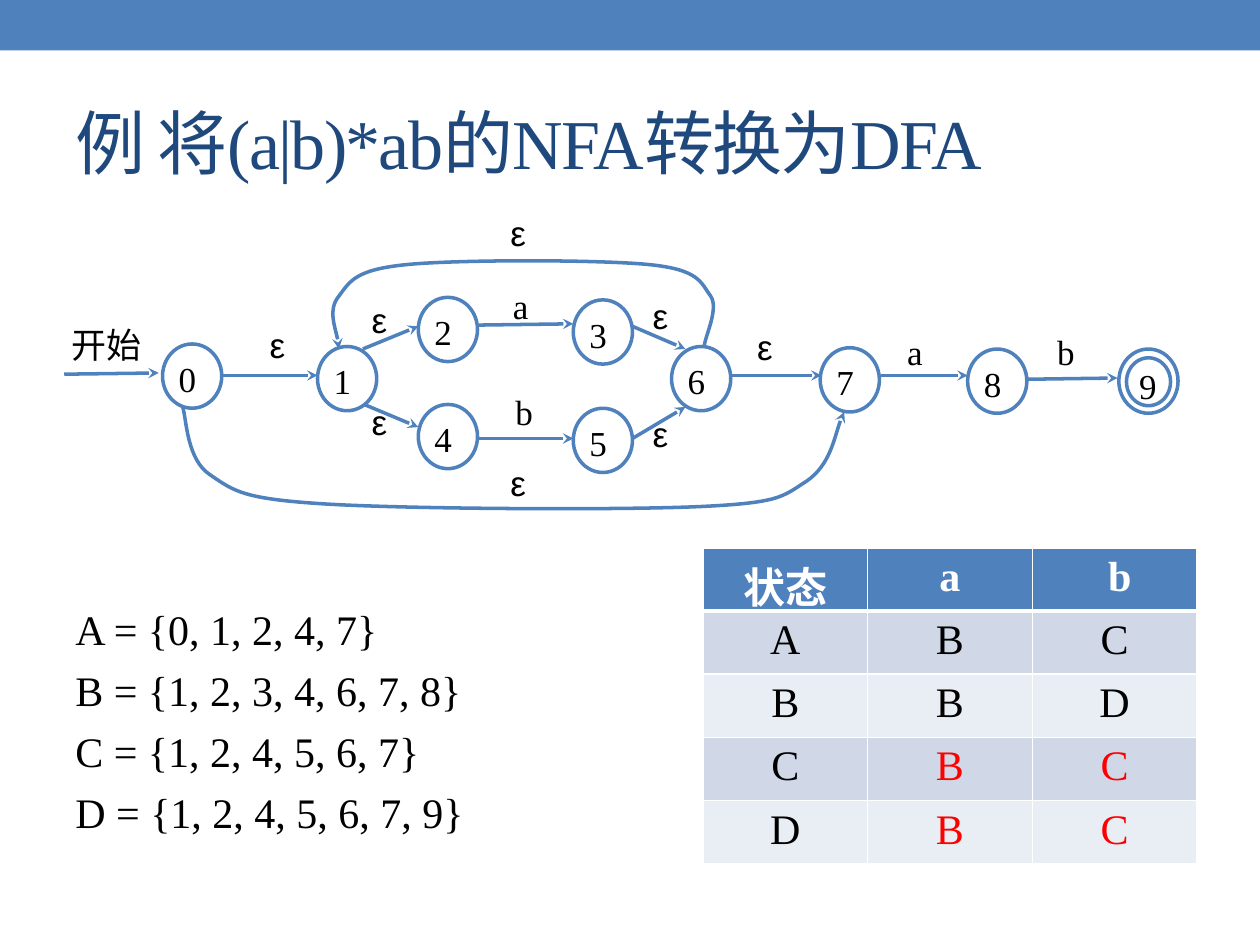
from dataclasses import dataclass

from lxml import etree
from pptx import Presentation
from pptx.dml.color import RGBColor
from pptx.enum.shapes import MSO_CONNECTOR, MSO_SHAPE
from pptx.enum.text import MSO_ANCHOR, PP_ALIGN
from pptx.oxml.ns import qn
from pptx.util import Inches, Pt

STRAIGHT = MSO_CONNECTOR.STRAIGHT
RECTANGLE, OVAL = MSO_SHAPE.RECTANGLE, MSO_SHAPE.OVAL
LEFT, CENTER = PP_ALIGN.LEFT, PP_ALIGN.CENTER
TOP, MIDDLE = MSO_ANCHOR.TOP, MSO_ANCHOR.MIDDLE
TITLE_ONLY = 5


@dataclass(frozen=True)
class Theme:
    accent: str = "4F81BD"
    title: str = "1F497D"
    ink: str = "000000"
    white: str = "FFFFFF"
    highlight: str = "FF0000"
    bands: tuple = ("D0D8E8", "E9EDF4")
    serif: str = "Times New Roman"
    sans: str = "Arial"
    title_size: int = 40
    body_size: int = 24
    label_size: int = 20
    line_width: int = 2


THEME = Theme()

STATE_WIDTH, STATE_HEIGHT = 0.47, 0.51
STATES = [
    (0.79, 1.08), (2.02, 1.10), (2.82, 0.71), (4.05, 0.73), (2.82, 1.56),
    (4.05, 1.59), (4.83, 1.10), (6.01, 1.11), (7.18, 1.12),
]
FINAL_STATE = (8.38, 1.12)
EDGES = [
    (0.01, 1.32, 0.76, 1.31), (1.26, 1.33, 2.02, 1.33), (2.38, 1.12, 2.82, 0.94),
    (2.39, 1.56, 2.82, 1.74), (3.30, 0.93, 4.05, 0.92), (3.29, 1.83, 4.05, 1.83),
    (4.52, 0.94, 4.94, 1.12), (4.52, 1.83, 4.94, 1.58), (5.30, 1.33, 6.02, 1.33),
    (6.49, 1.33, 7.18, 1.33), (7.65, 1.36, 8.37, 1.35),
]
LABELS = [
    ("开始", 0.01, 0.89), ("a", 3.51, 0.58), ("b", 3.53, 1.42), ("a", 6.64, 0.94),
    ("b", 7.83, 0.94), ("ε", 1.58, 0.89), ("ε", 2.39, 0.69), ("ε", 2.39, 1.50),
    ("ε", 4.62, 0.66), ("ε", 4.62, 1.59), ("ε", 5.45, 0.90), ("ε", 3.49, 0),
    ("ε", 3.49, 1.98),
]
SKIP_CURVE = [
    (0.95, 1.58), (0.98, 1.67), (0.98, 2.00), (1.17, 2.12), (1.36, 2.25), (1.43, 2.31),
    (2.08, 2.35), (2.73, 2.39), (4.43, 2.40), (5.07, 2.37), (5.70, 2.34), (5.71, 2.29),
    (5.90, 2.17), (6.09, 2.04), (6.14, 1.73), (6.20, 1.62),
]
REPEAT_CURVE = [
    (5.09, 1.10), (5.09, 1.03), (5.21, 0.80), (5.14, 0.70), (5.06, 0.59), (5.05, 0.49),
    (4.65, 0.45), (4.24, 0.41), (3.14, 0.41), (2.73, 0.45), (2.32, 0.49), (2.28, 0.58),
    (2.19, 0.70), (2.10, 0.81), (2.19, 1.03), (2.19, 1.12),
]
SUBSETS = [
    "A = {0, 1, 2, 4, 7}", "B = {1, 2, 3, 4, 6, 7, 8}",
    "C = {1, 2, 4, 5, 6, 7}", "D = {1, 2, 4, 5, 6, 7, 9}",
]
TRANSITIONS = ["状态", "a", " b"], ["A", "B", "C"], ["B", "B", "D"], ["C", "B", "C"], ["D", "B", "C"]
ROW_HEIGHTS = [0.5, 0.5, 0.5, 0.4, 0.4]
REPEATED_ROWS = (3, 4)


def color(value):
    return RGBColor.from_string(value)


def write_text(frame, lines, size=THEME.label_size, font=THEME.serif, ink=THEME.ink,
               bold=False, align=LEFT, anchor=TOP, insets=None, gap=0, spacing=None):
    frame.word_wrap = True
    frame.vertical_anchor = anchor
    if insets:
        (frame.margin_left, frame.margin_top,
         frame.margin_right, frame.margin_bottom) = map(Inches, insets)
    for index, line in enumerate(lines):
        paragraph = frame.add_paragraph() if index else frame.paragraphs[0]
        paragraph.alignment = align
        paragraph.space_before = Pt(gap if index else 0)
        run = paragraph.add_run()
        run.text = line
        run.font.size, run.font.name, run.font.bold = Pt(size), font, bold
        run.font.color.rgb = color(ink)
        if spacing:
            run.font._element.set("spc", str(spacing * 100))


def style_line(shape, arrow=False):
    shape.line.color.rgb = color(THEME.accent)
    shape.line.width = Pt(THEME.line_width)
    if arrow:
        etree.SubElement(shape.line._get_or_add_ln(), qn("a:tailEnd"), type="stealth")


def add_oval(slide, left, top, width, height):
    oval = slide.shapes.add_shape(OVAL, Inches(left), Inches(top), Inches(width), Inches(height))
    oval.shadow.inherit = False
    oval.fill.background()
    style_line(oval)
    return oval


def add_edge(slide, start_x, start_y, end_x, end_y):
    edge = slide.shapes.add_connector(
        STRAIGHT, Inches(start_x), Inches(start_y), Inches(end_x), Inches(end_y))
    style_line(edge, arrow=True)
    etree.SubElement(edge.element.spPr, qn("a:effectLst"))


def add_curve(slide, points):
    start, *rest = [(Inches(x), Inches(y)) for x, y in points]
    builder = slide.shapes.build_freeform(*start)
    builder.add_line_segments(rest, close=False)
    curve = builder.convert_to_shape()
    outline = next(curve.element.iter(qn("a:path")))
    segments = outline.findall(qn("a:lnTo"))
    for first in range(0, len(segments), 3):
        bezier = etree.SubElement(outline, qn("a:cubicBezTo"))
        for segment in segments[first:first + 3]:
            bezier.append(segment[0])
            outline.remove(segment)
    curve.shadow.inherit = False
    curve.fill.background()
    style_line(curve, arrow=True)


def add_header(slide, width, height):
    bar = slide.shapes.add_shape(RECTANGLE, 0, 0, Inches(width), Inches(height))
    bar.shadow.inherit = False
    bar.fill.solid()
    bar.fill.fore_color.rgb = color(THEME.accent)
    bar.line.fill.background()


def add_title(slide, left, top, width, height):
    title = slide.shapes.title
    title.left, title.top = Inches(left), Inches(top)
    title.width, title.height = Inches(width), Inches(height)
    write_text(title.text_frame, ["例 将(a|b)*ab的NFA转换为DFA"], size=THEME.title_size,
               ink=THEME.title, anchor=MIDDLE, spacing=-1)


def add_automaton(slide, left, top):
    for start_x, start_y, end_x, end_y in EDGES:
        add_edge(slide, left + start_x, top + start_y, left + end_x, top + end_y)
    for points in (SKIP_CURVE, REPEAT_CURVE):
        add_curve(slide, [(left + x, top + y) for x, y in points])
    for number, (x, y) in enumerate(STATES):
        state = add_oval(slide, left + x, top + y, STATE_WIDTH, STATE_HEIGHT)
        write_text(state.text_frame, [str(number)], insets=(0.06, 0.03, 0.02, 0.05))
    x, y = FINAL_STATE
    add_oval(slide, left + x, top + y, STATE_WIDTH, STATE_HEIGHT)
    inner = add_oval(slide, left + x + 0.06, top + y + 0.07, 0.35, 0.38)
    write_text(inner.text_frame, [str(len(STATES))], insets=(0.05, 0, 0.01, 0))
    for label, x, y in LABELS:
        box = slide.shapes.add_textbox(Inches(left + x), Inches(top + y),
                                       Inches(0.34 * len(label) + 0.08), Inches(0.41))
        write_text(box.text_frame, [label], font=THEME.sans if label == "ε" else THEME.serif,
                   insets=(0.06, 0.03, 0.06, 0.03))


def add_subsets(slide, left, top, width, height):
    box = slide.shapes.add_textbox(Inches(left), Inches(top), Inches(width), Inches(height))
    write_text(box.text_frame, SUBSETS, size=THEME.body_size, gap=6)


def style_cell(cell, fill, bottom_width):
    properties = cell._tc.get_or_add_tcPr()
    for side, width in (("L", 1), ("R", 1), ("T", 1), ("B", bottom_width)):
        border = etree.SubElement(properties, qn(f"a:ln{side}"), w=str(Pt(width)))
        solid = etree.SubElement(border, qn("a:solidFill"))
        etree.SubElement(solid, qn("a:srgbClr"), val=THEME.white)
    cell.fill.solid()
    cell.fill.fore_color.rgb = color(fill)


def add_transitions(slide, left, top, width):
    frame = slide.shapes.add_table(len(TRANSITIONS), len(TRANSITIONS[0]), Inches(left),
                                   Inches(top), Inches(width), Inches(sum(ROW_HEIGHTS)))
    table = frame.table
    for row, values in enumerate(TRANSITIONS):
        table.rows[row].height = Inches(ROW_HEIGHTS[row])
        header = row == 0
        for column, value in enumerate(values):
            cell = table.cell(row, column)
            style_cell(cell, THEME.accent if header else THEME.bands[(row - 1) % 2],
                       3 if header else 1)
            repeated = row in REPEATED_ROWS and column > 0
            ink = THEME.white if header else THEME.highlight if repeated else THEME.ink
            write_text(cell.text_frame, [value], size=THEME.body_size, ink=ink,
                       bold=header, align=CENTER)


def main():
    presentation = Presentation()
    presentation.slide_width, presentation.slide_height = Inches(10), Inches(7.5)
    slide = presentation.slides.add_slide(presentation.slide_layouts[TITLE_ONLY])
    add_header(slide, 10, 0.4)
    add_title(slide, 0.5, 0.58, 9, 1.08)
    add_subsets(slide, 0.5, 4.74, 4.8, 2.34)
    add_automaton(slide, 0.5, 1.65)
    add_transitions(slide, 5.58, 4.35, 3.92)
    presentation.save("out.pptx")


if __name__ == "__main__":
    main()
